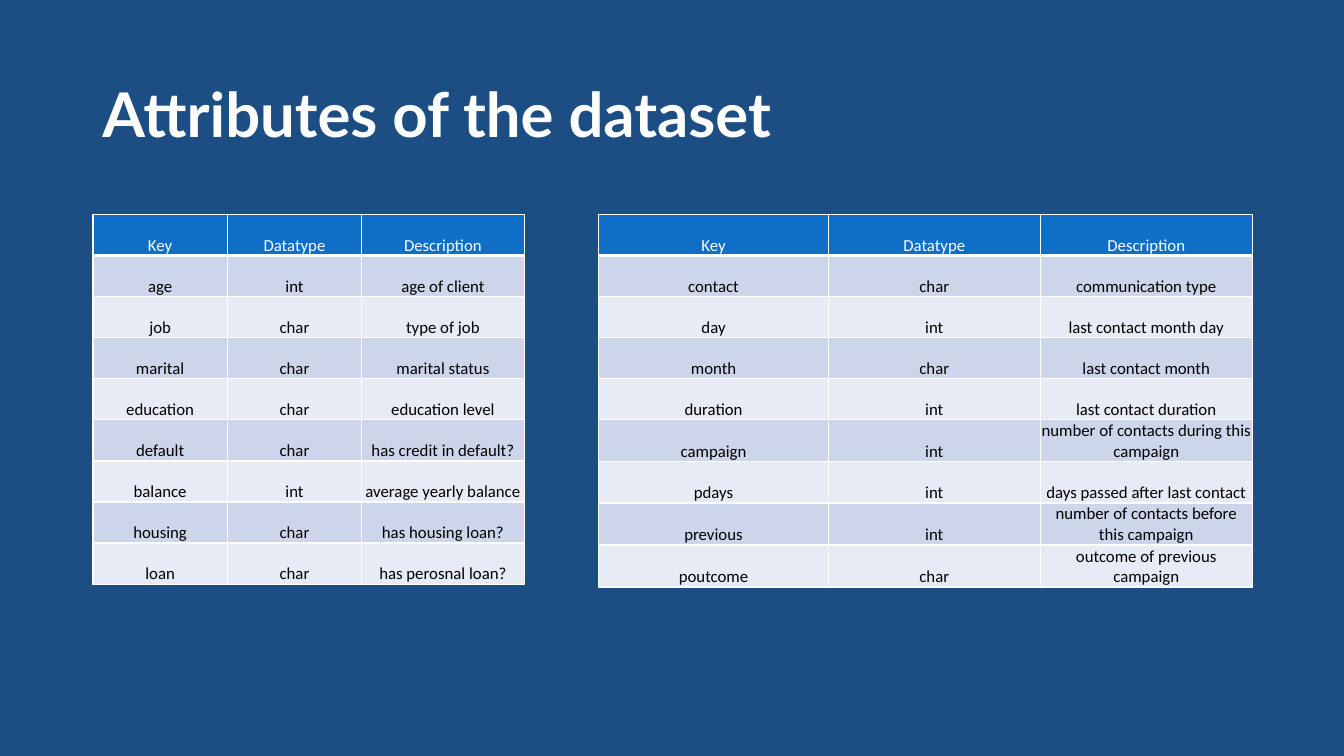
import pptx
import pptx.util
import pptx.dml.color
import pptx.enum.text
import pptx.oxml
import pptx.oxml.ns

Pt = pptx.util.Pt
RGBColor = pptx.dml.color.RGBColor
ALIGN = pptx.enum.text.PP_ALIGN
ANCHOR = pptx.enum.text.MSO_ANCHOR

NAVY = RGBColor(0x1C, 0x4D, 0x83)
BLUE = RGBColor(0x0F, 0x6F, 0xC6)
BAND_DARK = RGBColor(0xCC, 0xD5, 0xEA)
BAND_LIGHT = RGBColor(0xE7, 0xEB, 0xF5)
WHITE = RGBColor(0xFF, 0xFF, 0xFF)
BLACK = RGBColor(0, 0, 0)

HEADER = ("Key", "Datatype", "Description")
CLIENT_ROWS = [
    ("age", "int", "age of client"),
    ("job", "char", "type of job"),
    ("marital", "char", "marital status"),
    ("education", "char", "education level"),
    ("default", "char", "has credit in default?"),
    ("balance", "int", "average yearly balance"),
    ("housing", "char", "has housing loan?"),
    ("loan", "char", "has perosnal loan?"),
]
CONTACT_ROWS = [
    ("contact", "char", "communication type"),
    ("day", "int", "last contact month day"),
    ("month", "char", "last contact month"),
    ("duration", "int", "last contact duration"),
    ("campaign", "int", "number of contacts during this campaign"),
    ("pdays", "int", "days passed after last contact"),
    ("previous", "int", "number of contacts before this campaign"),
    ("poutcome", "char", "outcome of previous campaign"),
]
TABLES = [
    (66.4, (96, 96, 116.1), CLIENT_ROWS),
    (427.7, (164, 151.4, 151.4), CONTACT_ROWS),
]
TABLE_TOP = 153.2
ROW_HEIGHT = 29.35
CELL_FORMAT = {
    "vertical_anchor": ANCHOR.BOTTOM,
    "margin_left": Pt(0.75),
    "margin_top": Pt(0.75),
    "margin_right": Pt(0.75),
    "margin_bottom": Pt(0),
}


def format_text(para, align, color, values):
    para.alignment = align
    for name, value in values.items():
        setattr(para.runs[0].font, name, value)
    para.runs[0].font.color.rgb = color


def add_border(cell, side, width):
    line = pptx.oxml.parse_xml(
        f'<a:ln{side} {pptx.oxml.ns.nsdecls("a")} w="{Pt(width)}">'
        f'<a:solidFill><a:srgbClr val="{WHITE}"/></a:solidFill></a:ln{side}>'
    )
    cell._tc.get_or_add_tcPr().append(line)


deck = pptx.Presentation()
deck.slide_width = Pt(960)
deck.slide_height = Pt(540)
page = deck.slides.add_slide(deck.slide_layouts[5])
page.background.fill.solid()
page.background.fill.fore_color.rgb = NAVY

title = page.shapes.title
title_format = {"left": Pt(66), "top": Pt(28.75), "width": Pt(828), "height": Pt(104.4)}
for name, value in title_format.items():
    setattr(title, name, value)
title.text_frame.text = "Attributes of the dataset"
title.text_frame.vertical_anchor = ANCHOR.MIDDLE
format_text(title.text_frame.paragraphs[0], ALIGN.LEFT, WHITE,
            {"name": "Lato", "size": Pt(44), "bold": True})

for left, widths, attributes in TABLES:
    rows = [HEADER] + attributes
    frame = page.shapes.add_table(
        len(rows), len(widths), Pt(left), Pt(TABLE_TOP),
        Pt(sum(widths)), Pt(ROW_HEIGHT * len(rows)))
    table = frame.table
    for column, width in zip(table.columns, widths):
        column.width = Pt(width)
    for row_index, texts in enumerate(rows):
        table.rows[row_index].height = Pt(ROW_HEIGHT)
        is_header = row_index == 0
        band = BAND_DARK if row_index % 2 else BAND_LIGHT
        for column_index, text in enumerate(texts):
            cell = table.cell(row_index, column_index)
            cell.text = text
            for name, value in CELL_FORMAT.items():
                setattr(cell, name, value)
            for side in "LRTB":
                thick = (row_index, side) in ((0, "B"), (1, "T"))
                add_border(cell, side, 3 if thick else 1)
            cell.fill.solid()
            cell.fill.fore_color.rgb = BLUE if is_header else band
            format_text(cell.text_frame.paragraphs[0], ALIGN.CENTER,
                        WHITE if is_header else BLACK,
                        {"name": "Calibri", "size": Pt(12), "bold": False})

deck.save("out.pptx")
